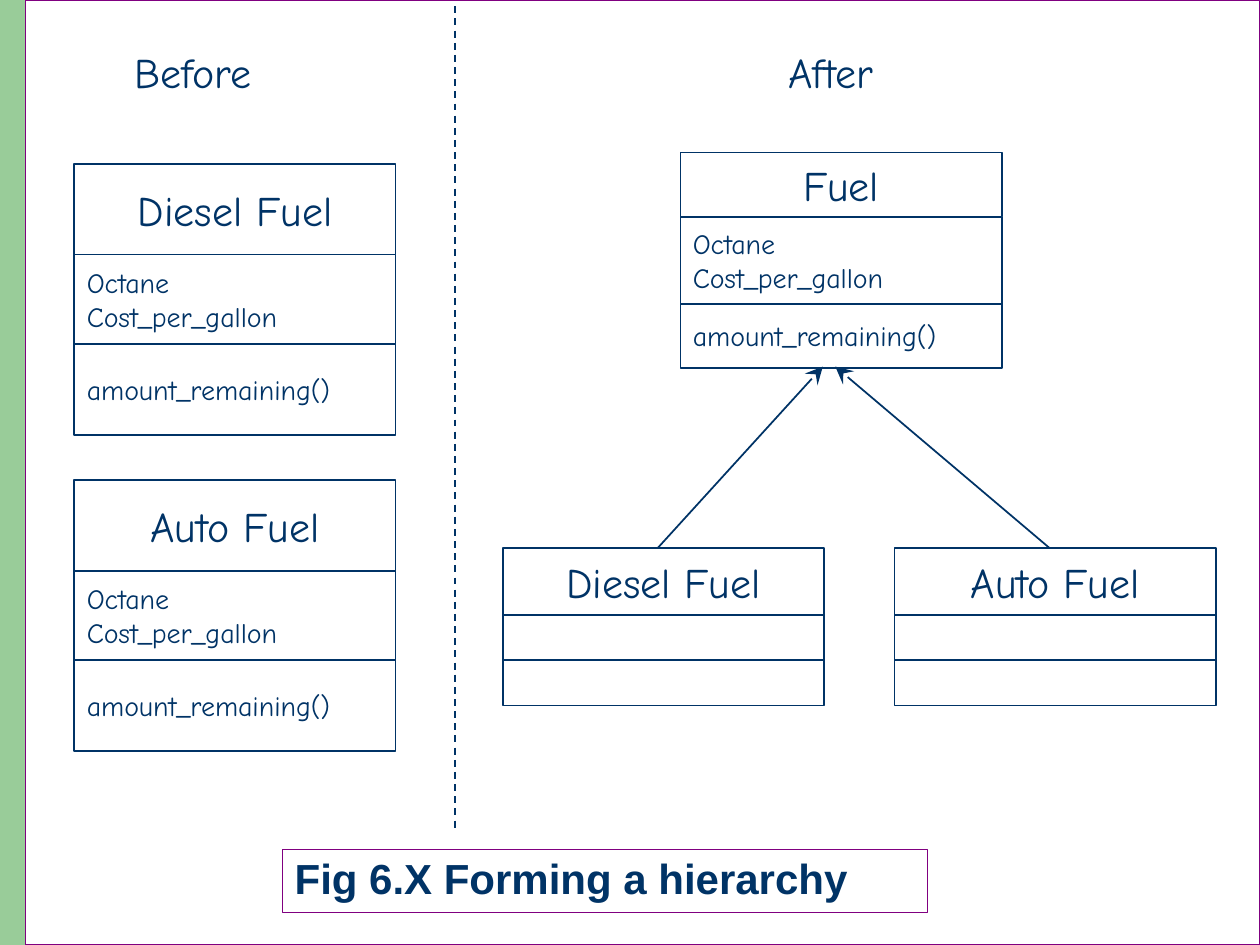
import pptx
import pptx.dml.color
import pptx.enum.dml
import pptx.enum.shapes
import pptx.enum.text
import pptx.oxml.ns
import pptx.util
from lxml import etree

Inches = pptx.util.Inches
Pt = pptx.util.Pt
ALIGN = pptx.enum.text.PP_ALIGN
ANCHOR = pptx.enum.text.MSO_ANCHOR


def paint(color_format, hex_color):
    color_format.rgb = pptx.dml.color.RGBColor.from_string(hex_color)


def write(frame, text, size=24, font="Comic Neue", color="003366", bold=False,
          align=ALIGN.LEFT, anchor=ANCHOR.MIDDLE, wrap=True, spacing=None):
    frame.word_wrap = wrap
    frame.vertical_anchor = anchor
    frame.text = text
    for paragraph in frame.paragraphs:
        paragraph.alignment = align
        paragraph.line_spacing = spacing
        paragraph.font.size = Pt(size)
        paragraph.font.name = font
        paragraph.font.bold = bold
        paint(paragraph.font.color, color)


class Diagram:
    ink = "003366"
    paper = "FFFFFF"
    frame_color = "800080"
    accent = "99CC99"
    box_width = 2.55

    def __init__(self, slide):
        self.slide = slide

    def box(self, left, top, width, height, fill=None, line=None, weight=1):
        box = self.slide.shapes.add_shape(
            pptx.enum.shapes.MSO_SHAPE.RECTANGLE,
            Inches(left), Inches(top), Inches(width), Inches(height))
        box.shadow.inherit = False
        if fill:
            box.fill.solid()
            paint(box.fill.fore_color, fill)
        else:
            box.fill.background()
        if line:
            paint(box.line.color, line)
            box.line.width = Pt(weight)
        else:
            box.line.fill.background()
        return box

    def label(self, left, top, width, height, text):
        label = self.slide.shapes.add_textbox(
            Inches(left), Inches(top), Inches(width), Inches(height))
        write(label.text_frame, text, anchor=ANCHOR.TOP)

    def class_box(self, left, top, heights, name, attributes="", methods=""):
        for height, text in zip(heights, (name, attributes, methods)):
            section = self.box(left, top, self.box_width, height, self.paper, self.ink)
            if text:
                heading = text == name
                write(section.text_frame, text, size=24 if heading else 16,
                      align=ALIGN.CENTER if heading else ALIGN.LEFT, wrap=False)
            top += height

    def line(self, start, end, dashed=False, arrow=False):
        line = self.slide.shapes.add_connector(
            pptx.enum.shapes.MSO_CONNECTOR.STRAIGHT,
            *(Inches(value) for value in start + end))
        paint(line.line.color, self.ink)
        line.line.width = Pt(1)
        if dashed:
            line.line.dash_style = pptx.enum.dml.MSO_LINE.DASH
        if arrow:
            etree.SubElement(line.line._get_or_add_ln(), pptx.oxml.ns.qn("a:tailEnd"),
                             type="stealth", w="lg", len="lg")
        etree.SubElement(line._element.spPr, pptx.oxml.ns.qn("a:effectLst"))


def main():
    deck = pptx.Presentation()
    deck.slide_width, deck.slide_height = Inches(10), Inches(7.5)
    diagram = Diagram(deck.slides.add_slide(deck.slide_layouts[6]))

    diagram.box(0, 0, 0.81, 7.5, diagram.accent)
    diagram.box(0.73, 0, 2.69, 1.17, diagram.accent)
    diagram.box(0.2, 0, 9.8, 7.5, diagram.paper, diagram.frame_color, 0.75)

    attributes, methods = "Octane\nCost_per_gallon", "amount_remaining()"
    fuels = ("Diesel Fuel", "Auto Fuel")

    for name, top in zip(fuels, (1.3, 3.81)):
        diagram.class_box(0.59, top, (0.72, 0.71, 0.72), name, attributes, methods)

    for heading, left in (("Before", 0.97), ("After", 6.16)):
        diagram.label(left, 0.32, 1.6, 0.5, heading)
    diagram.line((3.61, 0.05), (3.61, 6.59), dashed=True)

    diagram.class_box(5.4, 1.21, (0.51, 0.69, 0.51), "Fuel", attributes, methods)
    for name, left, arrow_tip in zip(fuels, (3.99, 7.1), (6.53, 6.63)):
        diagram.class_box(left, 4.35, (0.53, 0.36, 0.36), name)
        diagram.line((left + 1.23, 4.35), (arrow_tip, 2.91), arrow=True)

    caption = diagram.box(2.24, 6.74, 5.12, 0.5, line=diagram.frame_color, weight=0.75)
    write(caption.text_frame, "Fig 6.X Forming a hierarchy",
          font="Arial", bold=True, spacing=0.9)

    deck.save("out.pptx")


if __name__ == "__main__":
    main()
